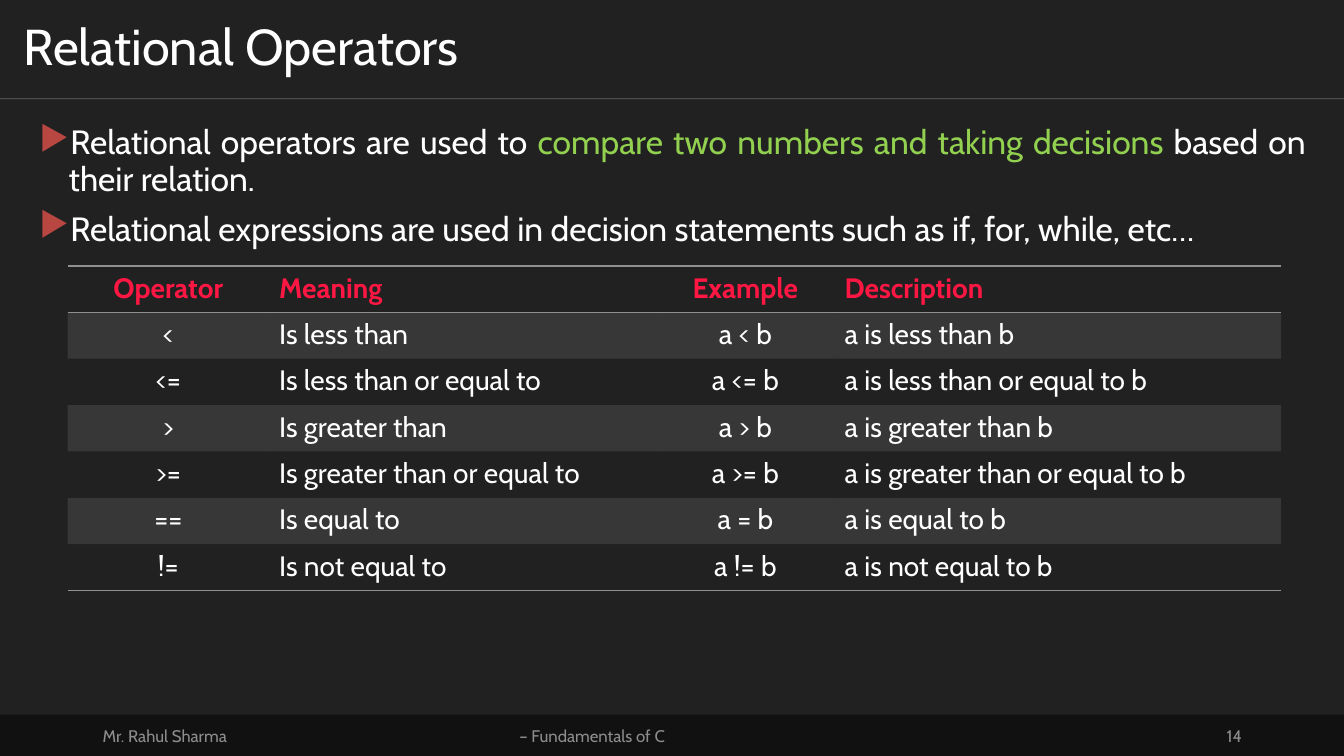
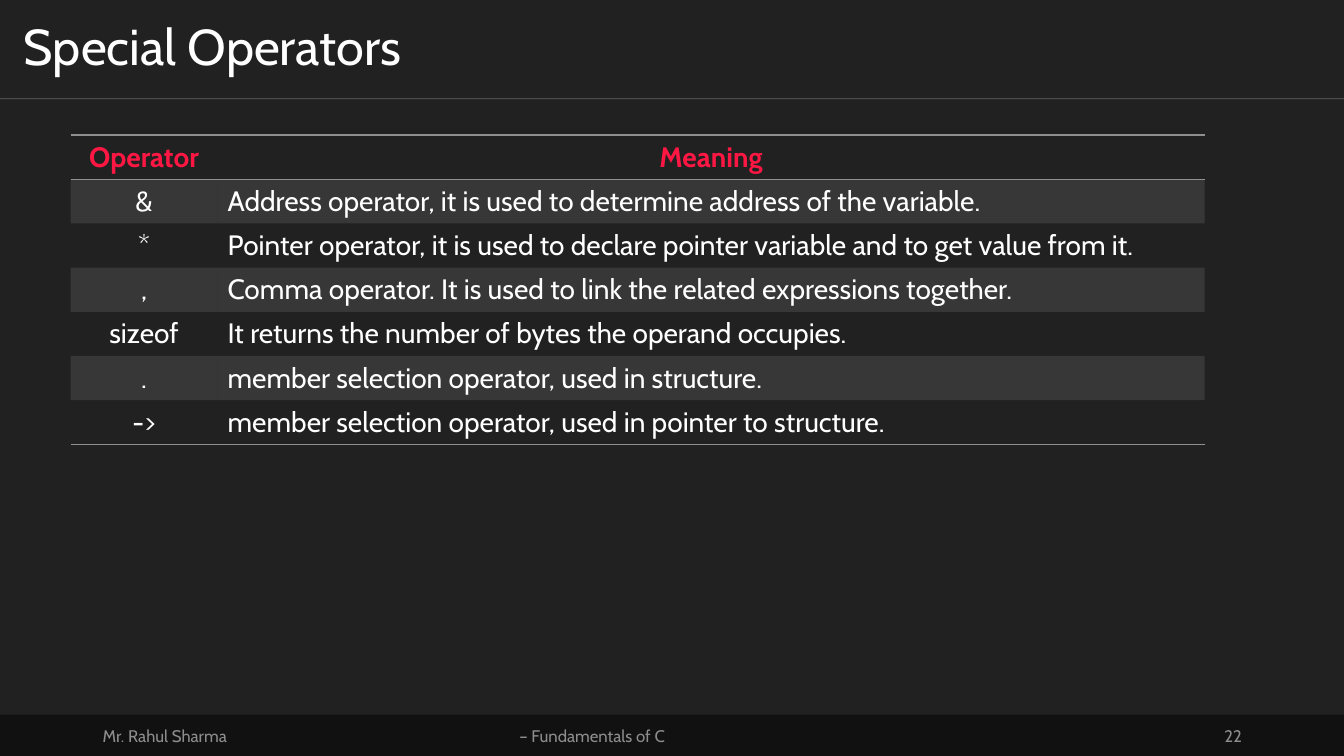
from lxml import etree
from pptx import Presentation
from pptx.dml.color import RGBColor
from pptx.enum.shapes import MSO_CONNECTOR, MSO_SHAPE
from pptx.enum.text import MSO_ANCHOR, PP_ALIGN
from pptx.oxml.ns import qn
from pptx.util import Pt

STRAIGHT, RECT = MSO_CONNECTOR.STRAIGHT, MSO_SHAPE.RECTANGLE
TOP, MIDDLE = MSO_ANCHOR.TOP, MSO_ANCHOR.MIDDLE
LEFT, CENTER, RIGHT, JUSTIFY = (PP_ALIGN.LEFT, PP_ALIGN.CENTER,
                                PP_ALIGN.RIGHT, PP_ALIGN.JUSTIFY)

FONT = "Cabin"
BACK = RGBColor(0x21, 0x21, 0x21)
BAND = RGBColor(0x11, 0x11, 0x11)
WHITE = RGBColor(0xFF, 0xFF, 0xFF)
GREY = RGBColor(0x90, 0x90, 0x90)
FOOT = RGBColor(0x8D, 0x8D, 0x8D)
RED = RGBColor(0xFF, 0x17, 0x44)
GREEN = RGBColor(0x92, 0xD0, 0x50)
BULLET = RGBColor(0xB8, 0x47, 0x42)

WIDTH, HEIGHT = 960, 540
HEAD = 70.56
NO_STYLE = "{2D5ABB26-0587-4C30-8999-92F81FD0307C}"


def child(parent, tag, **attrs):
    return etree.SubElement(parent, qn(tag), attrs)


def fade(node, percent):
    """Give every colour under the node this opacity."""
    for color in node.iter(qn("a:srgbClr")):
        child(color, "a:alpha", val=str(percent * 1000))


def edge(cell, tag):
    """Rule one side of a cell; borders come before the fill."""
    line = etree.Element(qn(tag), w=str(Pt(1)))
    child(child(line, "a:solidFill"), "a:srgbClr", val=str(GREY))
    cell._tc.get_or_add_tcPr().insert(0, line)


def write(para, text, size=20, color=WHITE, bold=False, align=LEFT,
          spacing=None):
    """Fill a paragraph; text is a string or a list of (words, colour)."""
    para.alignment = align
    if spacing:
        para.line_spacing = spacing
    parts = [(text, color)] if isinstance(text, str) else text
    for words, tint in parts:
        run = para.add_run()
        run.text = words
        run.font.name, run.font.size, run.font.bold = FONT, Pt(size), bold
        run.font.color.rgb = tint


class Deck:
    def __init__(self):
        self.prs = Presentation()
        self.prs.slide_width, self.prs.slide_height = Pt(WIDTH), Pt(HEIGHT)
        self.slide = None

    def page(self, title, number):
        """Start a slide with its title, rule and footer."""
        self.slide = self.prs.slides.add_slide(self.prs.slide_layouts[6])
        fill = self.slide.background.fill
        fill.solid()
        fill.fore_color.rgb = BACK
        self.rule(HEAD)
        self.band(510.5)
        notes = [(66.24, 216, "Mr. Rahul Sharma", LEFT),
                 (318.24, 209.52, "– Fundamentals of C", CENTER),
                 (678.24, 216, str(number), RIGHT)]
        for left, width, text, align in notes:
            frame = self.box(left, 511.2, width, 28.8, MIDDLE)
            write(frame.paragraphs[0], text, size=12, color=FOOT, align=align)
        frame = self.box(0, 0, WIDTH, HEAD, MIDDLE)
        frame.margin_left = frame.margin_right = Pt(17)
        write(frame.paragraphs[0], title, size=36, spacing=0.9)

    def rule(self, top):
        line = self.slide.shapes.add_connector(
            STRAIGHT, Pt(0), Pt(top), Pt(WIDTH), Pt(top))
        line.line.color.rgb = WHITE
        line.line.width = Pt(0.5)
        props = line._element.spPr
        fade(props, 30)
        child(props, "a:effectLst")

    def band(self, top):
        shape = self.slide.shapes.add_shape(
            RECT, Pt(0), Pt(top), Pt(WIDTH), Pt(HEIGHT - top))
        shape.shadow.inherit = False
        shape.fill.solid()
        shape.fill.fore_color.rgb = BAND
        shape.line.fill.background()

    def box(self, left, top, width, height, anchor=TOP):
        frame = self.slide.shapes.add_textbox(
            Pt(left), Pt(top), Pt(width), Pt(height)).text_frame
        frame.word_wrap = True
        frame.vertical_anchor = anchor
        return frame

    def bullets(self, items):
        frame = self.box(21, 86.4, 918.7, 411)
        for index, item in enumerate(items):
            para = frame.add_paragraph() if index else frame.paragraphs[0]
            props = para._p.get_or_add_pPr()
            props.set("marL", str(Pt(21)))
            props.set("indent", str(-Pt(21)))
            child(child(props, "a:buClr"), "a:srgbClr", val=str(BULLET))
            child(props, "a:buChar", char="▶")
            if index:
                para.space_before = Pt(10)
            write(para, item, size=24, align=JUSTIFY, spacing=0.9)

    def table(self, left, top, widths, height, rows, heads, aligns):
        """Draw a striped table; heads and aligns go by column."""
        data = self.slide.shapes.add_table(
            len(rows), len(widths), Pt(left), Pt(top),
            Pt(sum(widths)), Pt(height * len(rows))).table
        data._tbl.tblPr.find(qn("a:tableStyleId")).text = NO_STYLE
        for column, width in zip(data.columns, widths):
            column.width = Pt(width)
        for r, row in enumerate(rows):
            data.rows[r].height = Pt(height)
            for c, text in enumerate(row):
                cell = data.cell(r, c)
                first = r == 0
                write(cell.text_frame.paragraphs[0], text, bold=first,
                      color=RED if first else WHITE,
                      align=(heads if first else aligns)[c])
                if r % 2:
                    cell.fill.solid()
                    cell.fill.fore_color.rgb = GREY
                    fade(cell._tc.tcPr, 20)
                else:
                    cell.fill.background()
                if first or r == len(rows) - 1:
                    edge(cell, "a:lnB")
                if first:
                    edge(cell, "a:lnT")


def main():
    deck = Deck()

    # Relational operators
    deck.page("Relational Operators", 14)
    deck.bullets([
        [("Relational operators are used to ", WHITE),
         ("compare two numbers and taking decisions ", GREEN),
         ("based on their relation.", WHITE)],
        "Relational expressions are used in decision statements such as "
        "if, for, while, etc…",
    ])
    sides = [CENTER, LEFT, CENTER, LEFT]
    deck.table(48.24, 190, [144, 276.5, 127.4, 319], 33.12, [
        ("Operator", "Meaning", "Example", "Description"),
        ("<", "Is less than", "a < b", "a is less than b"),
        ("<=", "Is less than or equal to", "a <= b",
         "a is less than or equal to b"),
        (">", "Is greater than", "a > b", "a is greater than b"),
        (">=", "Is greater than or equal to", "a >= b",
         "a is greater than or equal to b"),
        ("==", "Is equal to", "a = b", "a is equal to b"),
        ("!=", "Is not equal to", "a != b", "a is not equal to b"),
    ], sides, sides)

    # Special operators
    deck.page("Special Operators", 22)
    deck.table(50.4, 96.5, [105, 705], 31.55, [
        ("Operator", "Meaning"),
        ("&", "Address operator, it is used to determine address of the "
              "variable."),
        ("*", "Pointer operator, it is used to declare pointer variable and "
              "to get value from it."),
        (",", "Comma operator. It is used to link the related expressions "
              "together."),
        ("sizeof", "It returns the number of bytes the operand occupies."),
        (".", "member selection operator, used in structure."),
        ("->", "member selection operator, used in pointer to structure."),
    ], [CENTER, CENTER], [CENTER, LEFT])

    deck.prs.save("out.pptx")


if __name__ == "__main__":
    main()
